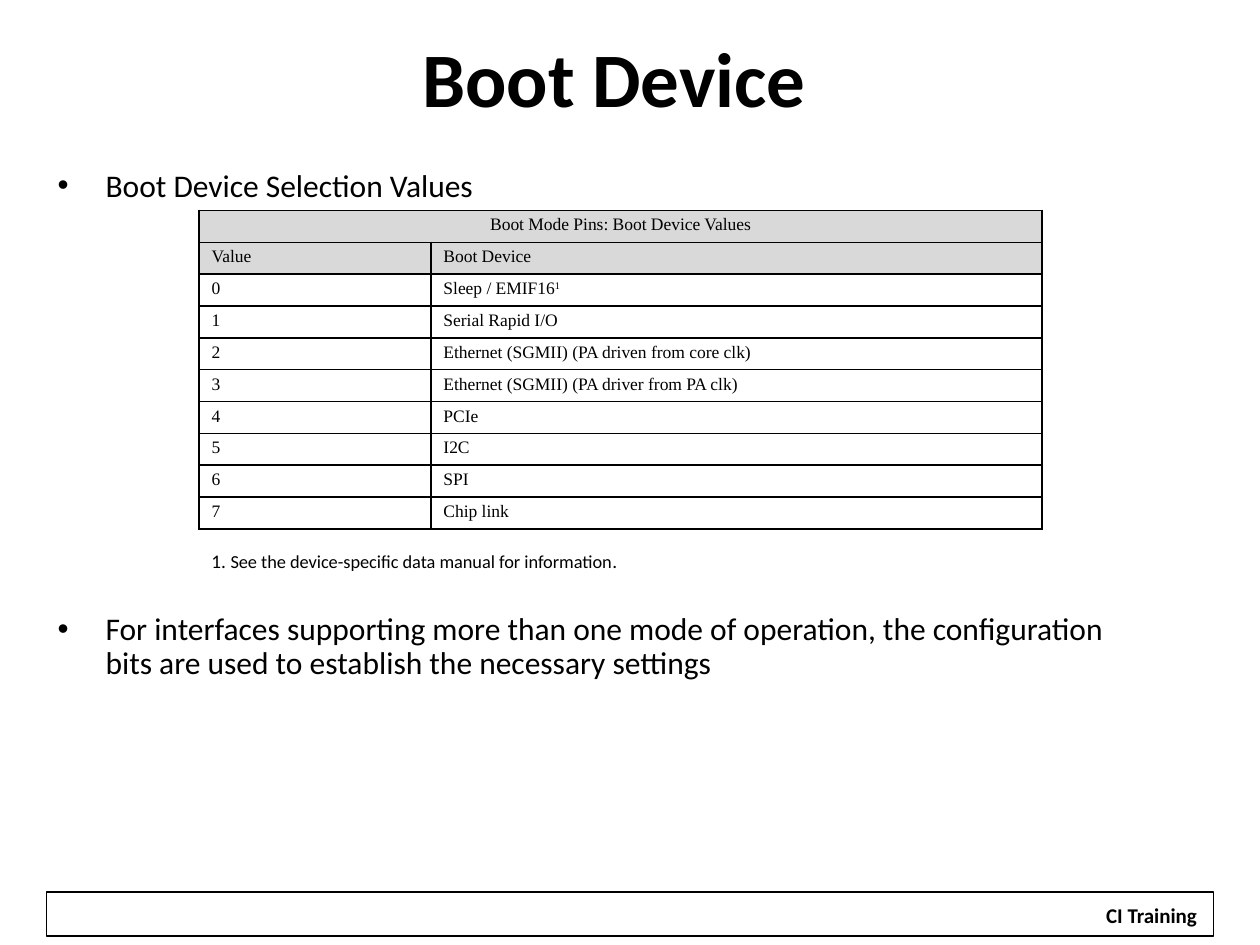
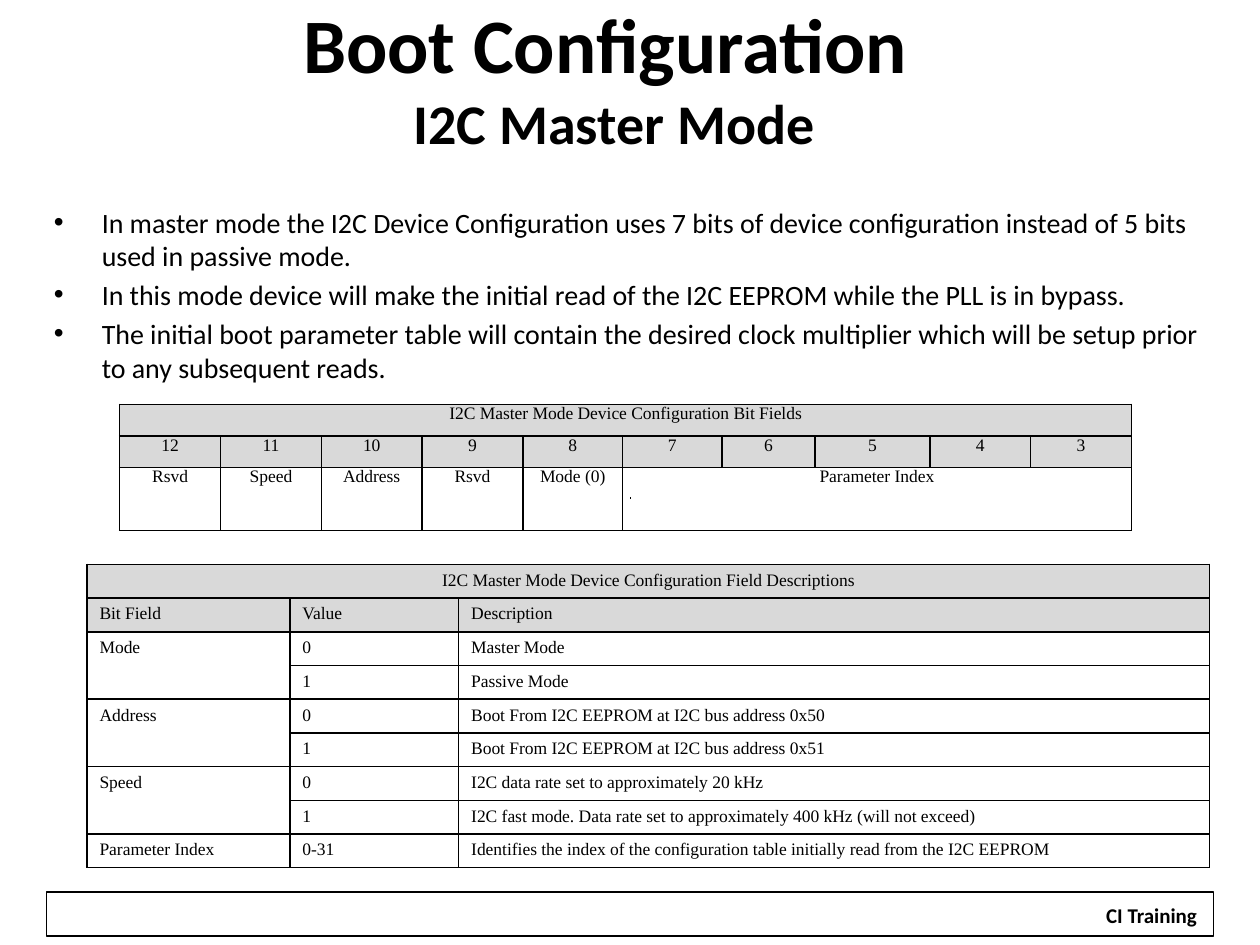
from lxml import etree
from pptx import Presentation
from pptx.dml.color import RGBColor
from pptx.enum.shapes import MSO_CONNECTOR, MSO_SHAPE
from pptx.enum.text import MSO_ANCHOR, PP_ALIGN
from pptx.oxml import parse_xml
from pptx.oxml.ns import nsdecls, qn
from pptx.util import Inches, Pt

# Shared look
BLACK = RGBColor(0x00, 0x00, 0x00)
WHITE = RGBColor(0xFF, 0xFF, 0xFF)
HEADER_GREY = RGBColor(0xD9, 0xD9, 0xD9)
BODY_FONT = "Calibri"
TABLE_FONT = "Times New Roman"
TITLE_BOX = (0.25, 0.16, 9.25, 0.89)
FOOTER_FRAME = (0.37, 7.08, 9.26, 0.35)
FOOTER_LABEL = (8.67, 7.11, 0.94, 0.3)
FOOTER_TEXT = "CI Training"
HEADER_ROWS = 2
# Cell margins: sides, then top and bottom
DEVICE_MARGINS = (0.1, 0.04)
FIELD_MARGINS = (0.1, 0.05)
BIT_MARGINS = (0.07, 0)

# Slide 1: each bullet is its text and the space before it in points
DEVICE_BULLETS = [
    ("Boot Device Selection Values", 0),
    ("For interfaces supporting more than one mode of operation, the configuration "
     "bits are used to establish the necessary settings", 234),
]
# In a table, None continues the cell on its left, or above in the first column;
# text after ^ is raised
DEVICE_ROWS = [
    ["Boot Mode Pins: Boot Device Values", None],
    ["Value", "Boot Device"],
    ["0", "Sleep / EMIF16^1"],
    ["1", "Serial Rapid I/O"],
    ["2", "Ethernet (SGMII) (PA driven from core clk)"],
    ["3", "Ethernet (SGMII) (PA driver from PA clk)"],
    ["4", "PCIe"],
    ["5", "I2C"],
    ["6", "SPI"],
    ["7", "Chip link"],
]
FOOTNOTE = [("1. ", 11), ("See the device-specific data manual for information", 10.5), (".", 11)]

# Slide 2
MASTER_BULLETS = [
    ("In master mode the I2C Device Configuration uses 7 bits of device configuration "
     "instead of 5 bits used in passive mode.", 0),
    ("In this mode device will make the initial read of the I2C EEPROM while the PLL "
     "is in bypass.", 3),
    ("The initial boot parameter table will contain the desired clock multiplier which "
     "will be setup prior to any subsequent reads.", 3),
]
BIT_ROWS = [
    ["I2C Master Mode Device Configuration Bit Fields"] + [None] * 9,
    [str(bit) for bit in range(12, 2, -1)],
    ["Rsvd", "Speed", "Address", "Rsvd", "Mode (0)", "Parameter Index"] + [None] * 4,
]
FIELD_ROWS = [
    ["I2C Master Mode Device Configuration Field Descriptions", None, None],
    ["Bit Field", "Value", "Description"],
    ["Mode", "0", "Master Mode"],
    [None, "1", "Passive Mode"],
    ["Address", "0", "Boot From I2C EEPROM at I2C bus address 0x50"],
    [None, "1", "Boot From I2C EEPROM at I2C bus address 0x51"],
    ["Speed", "0", "I2C data rate set to approximately 20 kHz"],
    [None, "1", "I2C fast mode. Data rate set to approximately 400 kHz (will not exceed)"],
    ["Parameter Index", "0-31",
     "Identifies the index of the configuration table initially read from the I2C EEPROM"],
]


def inches(box):
    return [Inches(length) for length in box]


def style(font, size=None, name=BODY_FONT, bold=False):
    font.name, font.bold, font.color.rgb = name, bold, BLACK
    if size:
        font.size = Pt(size)


def add_text_box(page, box):
    frame = page.shapes.add_textbox(*inches(box)).text_frame
    frame.word_wrap = True
    return frame


def add_sized_spans(para, parts):
    for text, size in parts:
        span = para.add_run()
        span.text = text
        span.font.size = Pt(size)


def add_footer(page):
    for box, text in ((FOOTER_FRAME, ""), (FOOTER_LABEL, FOOTER_TEXT)):
        shape = page.shapes.add_shape(MSO_SHAPE.RECTANGLE, *inches(box))
        shape.shadow.inherit = False
        if not text:
            shape.fill.background()
            shape.line.color.rgb = BLACK
            shape.line.width = Pt(0.75)
            continue
        shape.fill.solid()
        shape.fill.fore_color.rgb = WHITE
        shape.line.fill.background()
        shape.text_frame.word_wrap = False
        para = shape.text_frame.paragraphs[0]
        para.text = text
        para.alignment = PP_ALIGN.CENTER
        style(para.font, 12, bold=True)


def add_title(page, title, subtitle=None):
    frame = add_text_box(page, TITLE_BOX)
    frame.vertical_anchor = MSO_ANCHOR.MIDDLE
    para = frame.paragraphs[0]
    para.alignment = PP_ALIGN.CENTER
    style(para.font, bold=True)
    add_sized_spans(para, [(title, 44)])
    if subtitle:
        para.add_line_break()
        add_sized_spans(para, [(subtitle, 32)])


def add_bullets(page, box, bullets, size, line_spacing=1.0):
    frame = add_text_box(page, box)
    for index, (text, space) in enumerate(bullets):
        para = frame.add_paragraph() if index else frame.paragraphs[0]
        para.text = text
        para.line_spacing = line_spacing
        if space:
            para.space_before = Pt(space)
        props = para._p.get_or_add_pPr()
        props.set("marL", str(Inches(0.38)))
        props.set("indent", str(-Inches(0.38)))
        etree.SubElement(props, qn("a:buFont")).set("typeface", "Arial")
        etree.SubElement(props, qn("a:buChar")).set("char", "•")
        style(para.font, size)


def add_borders(cell):
    for side in ("lnL", "lnR", "lnT", "lnB"):
        cell._tc.get_or_add_tcPr().append(parse_xml(
            f'<a:{side} {nsdecls("a")} w="{Pt(1)}"><a:solidFill>'
            f'<a:srgbClr val="{BLACK}"/></a:solidFill></a:{side}>'))


def fill_cell(cell, text, centred):
    para = cell.text_frame.paragraphs[0]
    style(para.font, 10, TABLE_FONT)
    if centred:
        para.alignment = PP_ALIGN.CENTER
    base, _, raised = text.partition("^")
    para.add_run().text = base
    if raised:
        span = para.add_run()
        span.text = raised
        span._r.get_or_add_rPr().set("baseline", "30000")


def add_grid(page, left, top, widths, heights, rows, margins, centred=False):
    table = page.shapes.add_table(len(rows), len(widths), *inches(
        (left, top, sum(widths), sum(heights)))).table
    table.first_row = table.horz_banding = False
    for column, width in zip(table.columns, widths):
        column.width = Inches(width)
    for line, height in zip(table.rows, heights):
        line.height = Inches(height)
    for r, row in enumerate(rows):
        for c, text in enumerate(row):
            cell = table.cell(r, c)
            cell.margin_left = cell.margin_right = Inches(margins[0])
            cell.margin_top = cell.margin_bottom = Inches(margins[1])
            add_borders(cell)
            if r < HEADER_ROWS:
                cell.fill.solid()
                cell.fill.fore_color.rgb = HEADER_GREY
            else:
                cell.fill.background()
            if text is None:
                continue
            fill_cell(cell, text, centred or r == 0)
            last_row, last_column = r, c
            while last_column + 1 < len(row) and row[last_column + 1] is None:
                last_column += 1
            while c == 0 and last_row + 1 < len(rows) and rows[last_row + 1][0] is None:
                last_row += 1
            if (last_row, last_column) != (r, c):
                cell.merge(table.cell(last_row, last_column))


def add_dot(page, x, y):
    dot = page.shapes.add_connector(MSO_CONNECTOR.STRAIGHT, *inches((x, y, x + 0.01, y)))
    dot.line.color.rgb = BLACK
    dot.line.width = Pt(1)
    etree.SubElement(dot._element.spPr, qn("a:effectLst"))


def build_boot_device(page):
    add_title(page, "Boot Device")
    add_bullets(page, (0.36, 1.3, 8.74, 4.2), DEVICE_BULLETS, 18, line_spacing=0.9)
    device_heights = [2.53 / len(DEVICE_ROWS)] * len(DEVICE_ROWS)
    add_grid(page, 1.58, 1.67, [1.84, 4.85], device_heights, DEVICE_ROWS, DEVICE_MARGINS)
    para = add_text_box(page, (1.58, 4.33, 6.42, 0.27)).paragraphs[0]
    para.line_spacing = 0.9
    style(para.font)
    add_sized_spans(para, FOOTNOTE)


def build_master_mode(page):
    field_heights = [2.4 / len(FIELD_ROWS)] * len(FIELD_ROWS)
    add_grid(page, 0.69, 4.48, [1.61, 1.34, 5.96], field_heights, FIELD_ROWS, FIELD_MARGINS)
    add_title(page, "Boot Configuration ", "I2C Master Mode")
    add_bullets(page, (0.33, 1.58, 9.36, 1.6), MASTER_BULLETS, 16)
    add_dot(page, 5, 3.95)
    bit_widths = [0.8] * 4 + [0.79] * 2 + [0.74, 0.91] + [0.8] * 2
    add_grid(page, 0.95, 3.21, bit_widths, [0.25, 0.25, 0.5], BIT_ROWS,
             BIT_MARGINS, centred=True)


def main():
    deck = Presentation()
    deck.slide_width, deck.slide_height = Inches(10), Inches(7.5)
    for build in (build_boot_device, build_master_mode):
        page = deck.slides.add_slide(deck.slide_layouts[6])
        add_footer(page)
        build(page)
    deck.save("out.pptx")


if __name__ == "__main__":
    main()
